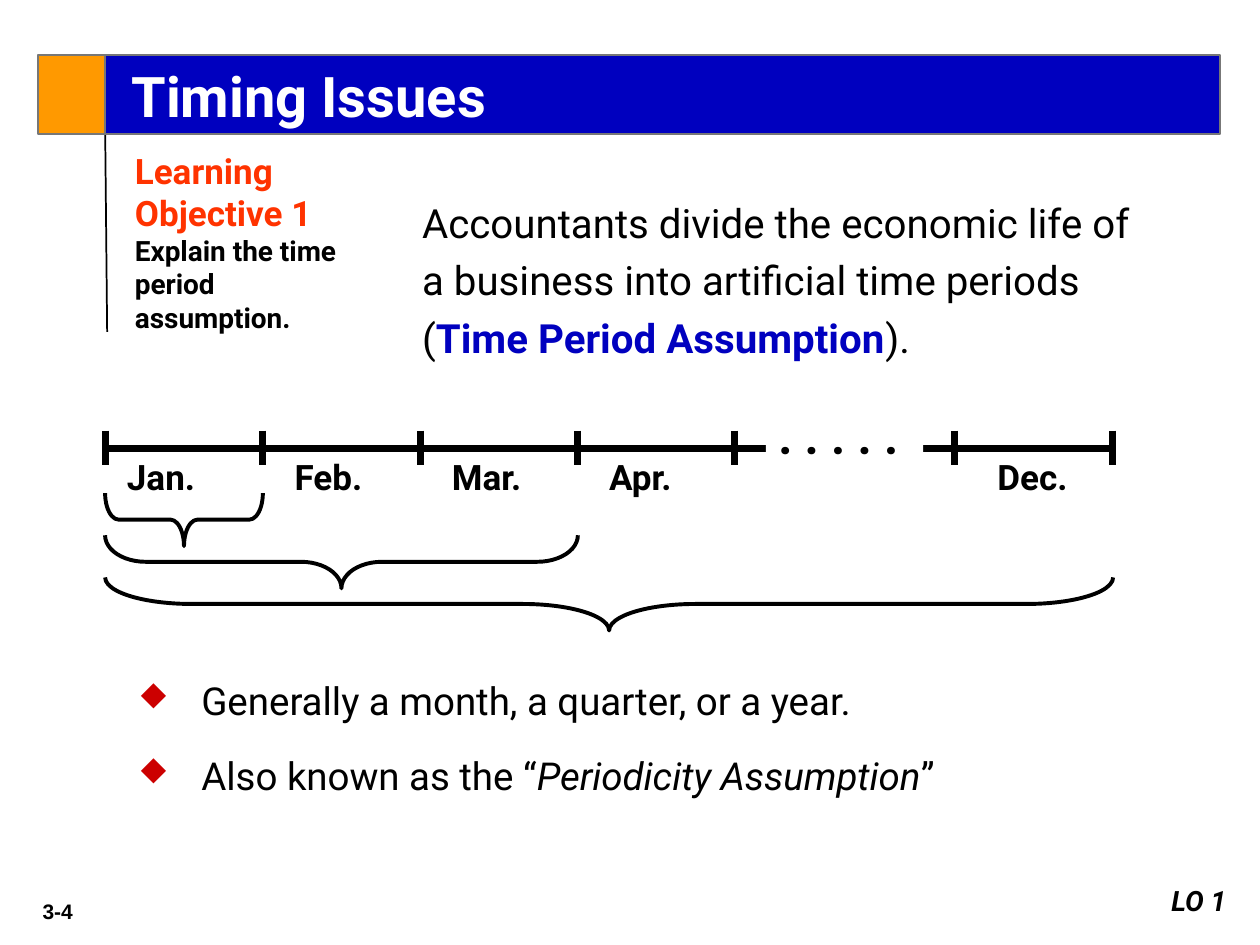
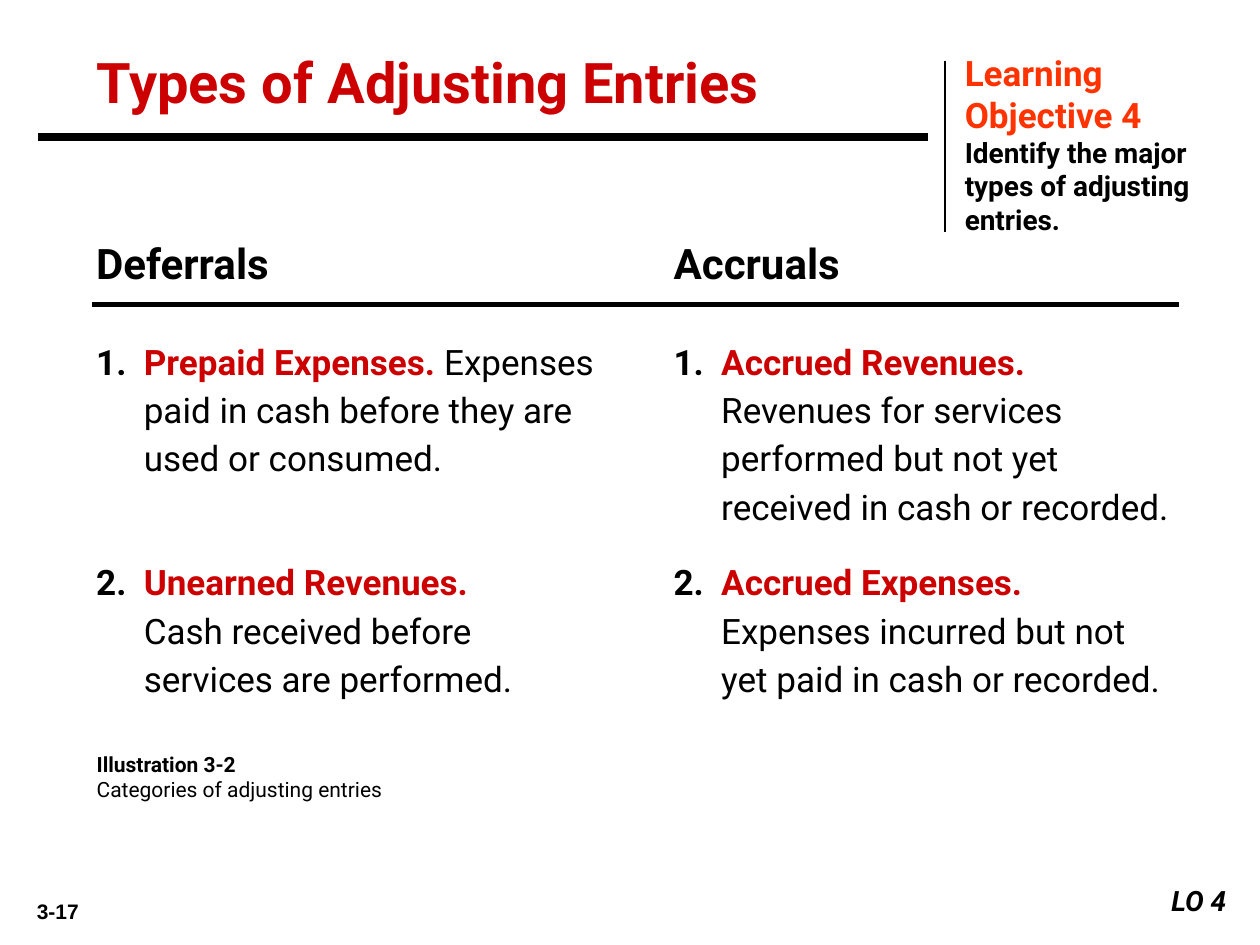
"""Build two accounting slides: timing issues and types of adjusting entries."""
from lxml.etree import SubElement
from pptx import Presentation
from pptx.dml.color import RGBColor
from pptx.enum.shapes import MSO_CONNECTOR, MSO_SHAPE
from pptx.enum.text import MSO_ANCHOR as Anchor, PP_ALIGN as Align
from pptx.oxml.ns import qn
from pptx.util import Cm, Pt

COLORS = {"black": "000000", "white": "FFFFFF", "blue": "0000BF", "red": "CC0000",
          "orange": "FF9900", "vermilion": "FF3300", "edge": "777777"}
FONT, NUMBER_FONT = "Roboto", "Arial"
DIAMOND_FONT, DIAMOND = "Wingdings", "u"

TIMING = {
    "title": "Timing Issues", "number": "3-4", "objective": 1,
    "goal": "Explain the time period assumption.",
    "statement": [("Accountants divide the economic life of a business into artificial time periods (", "black", ""),
                  ("Time Period Assumption", "blue", "b"), (").", "black", "")],
    "bullets": [[("Generally a month, a quarter, or a year.", "")],
                [("Also known as the “", ""), ("Periodicity Assumption", "i"), ("”", "")]],
}
MONTHS = [("Jan.", 0, 0.18), ("Feb.", 1, 0.39), ("Mar.", 2, 0.39), ("Apr.", 3, 0.39), ("Dec.", 5.4, 0.61)]
TICKS = [0, 1, 2, 3, 4, 5.4, 6.4]
TIMELINE_LEFT, MONTH_WIDTH = 2.13, 3.17
BRACE_WIDTHS = [3.18, 9.53, 20.32]
BRACE_LEFT, BRACE_TOP, BRACE_HEIGHT, BRACE_STEP = 2.12, 9.94, 1.07, 0.85

ENTRIES = {
    "title": "Types of Adjusting Entries", "number": "3-17", "objective": 4,
    "goal": "Identify the major types of adjusting entries.",
    "caption": ("Illustration 3-2", "Categories of adjusting entries"),
}
COLUMNS = [
    ("Deferrals", [
        ("Prepaid Expenses.", " ", "Expenses paid in cash before they are used or consumed."),
        ("Unearned Revenues.", "\n", "Cash received before services are performed.")]),
    ("Accruals", [
        ("Accrued Revenues.", " ", "Revenues for services performed but not yet received in cash or recorded."),
        ("Accrued Expenses.", " ", "Expenses incurred but not yet paid in cash or recorded.")]),
]
COLUMN_LEFT, COLUMN_STEP, COLUMN_WIDTH = 1.69, 11.64, 10.59
ENTRY_TOP, ENTRY_HEIGHT = 6.35, 4.45


def color(name):
    return RGBColor.from_string(COLORS[name])


def lengths(place):
    return [Cm(value) for value in place]


def add_span(para, text, size, tone="black", style="", font=FONT):
    span = para.add_run()
    span.text = text
    span.font.name, span.font.size = font, Pt(size)
    span.font.bold, span.font.italic = "b" in style, "i" in style
    span.font.color.rgb = color(tone)


def add_box(page, place, anchor=Anchor.TOP, wrap=True):
    box = page.shapes.add_textbox(*lengths(place))
    box.text_frame.word_wrap = wrap
    box.text_frame.vertical_anchor = anchor
    return box


def first_para(box, align=Align.LEFT, spacing=None):
    para = box.text_frame.paragraphs[0]
    para.alignment, para.line_spacing = align, spacing
    return para


def add_label(page, place, text, size, tone="black", style="b", font=FONT,
              align=Align.LEFT, anchor=Anchor.TOP, wrap=True):
    box = add_box(page, place, anchor, wrap)
    add_span(first_para(box, align), text, size, tone, style, font)


def add_line(page, ends, width):
    line = page.shapes.add_connector(MSO_CONNECTOR.STRAIGHT, *lengths(ends))
    line.line.color.rgb, line.line.width = color("black"), Pt(width)
    SubElement(line._element.spPr, qn("a:effectLst"))


def add_block(page, place, fill, edge=None, anchor=Anchor.MIDDLE):
    block = page.shapes.add_shape(MSO_SHAPE.RECTANGLE, *lengths(place))
    block.shadow.inherit = False
    block.fill.solid()
    block.fill.fore_color.rgb = color(fill)
    if edge:
        block.line.color.rgb, block.line.width = color(edge), Pt(1)
    else:
        block.line.fill.background()
    block.text_frame.vertical_anchor = anchor
    return block


def add_panel(page, place):
    return add_block(page, place, "white", anchor=Anchor.TOP)


def add_brace(page, width, top):
    left = BRACE_LEFT + (width - BRACE_HEIGHT) / 2
    upright_top = top + (BRACE_HEIGHT - width) / 2
    brace = page.shapes.add_shape(MSO_SHAPE.LEFT_BRACE, *lengths((left, upright_top, BRACE_HEIGHT, width)))
    brace.rotation = 270
    brace.adjustments[0] = width * 0.08
    brace.shadow.inherit = False
    brace.fill.background()
    brace.line.color.rgb, brace.line.width = color("black"), Pt(2.25)


def hang(para, indent):
    properties = para._p.get_or_add_pPr()
    properties.set("marL", str(Cm(indent)))
    properties.set("indent", str(-Cm(indent)))
    return properties


def add_diamond(para):
    properties = hang(para, 1.27)
    tint = SubElement(properties, qn("a:buClr"))
    SubElement(tint, qn("a:srgbClr")).set("val", COLORS["red"])
    SubElement(properties, qn("a:buSzPct")).set("val", "80000")
    face = SubElement(properties, qn("a:buFont"))
    face.set("typeface", DIAMOND_FONT)
    face.set("charset", "2")
    SubElement(properties, qn("a:buChar")).set("char", DIAMOND)


def add_page(deck, content):
    page = deck.slides.add_slide(deck.slide_layouts[6])
    add_label(page, (0.21, 17.98, 1.91, 0.76), content["number"], 12, font=NUMBER_FONT, align=Align.CENTER)
    return page


def add_objective(page, content, box):
    para = first_para(box)
    add_span(para, f"Learning Objective {content['objective']} ", 20, "vermilion", "b")
    add_span(para, content["goal"], 16, style="b")
    footer = add_panel(page, (22.86, 17.69, 2.11, 0.94))
    add_span(first_para(footer, Align.RIGHT), f"LO {content['objective']}", 16, style="bi")


def add_timeline(page):
    add_line(page, (2.2, 9.04, 22.43, 9.04), 4)
    for tick in TICKS:
        x = TIMELINE_LEFT + tick * MONTH_WIDTH
        add_line(page, (x, 8.68, x, 9.38), 4)
    for month, tick, offset in MONTHS:
        x = TIMELINE_LEFT + tick * MONTH_WIDTH + offset
        add_label(page, (x, 9.06, 2.4, 1.09), month, 20)
    gap = add_block(page, (15.44, 8.68, 3.17, 0.85), "white")
    gap.text_frame.word_wrap = False
    add_span(first_para(gap, spacing=0.15), ". . . . .", 28, style="b")
    for row, width in enumerate(BRACE_WIDTHS):
        add_brace(page, width, BRACE_TOP + row * BRACE_STEP)


def add_timing(deck):
    page = add_page(deck, TIMING)
    add_line(page, (2.12, 2.62, 2.16, 6.69), 1)
    statement = first_para(add_box(page, (8.26, 3.67, 15.04, 3.78)), spacing=1.2)
    for text, tone, style in TIMING["statement"]:
        add_span(statement, text, 23, tone, style)
    add_timeline(page)
    band = add_block(page, (2.12, 1.11, 22.48, 1.6), "blue", "edge")
    band.text_frame.margin_left = Cm(0.53)
    add_span(first_para(band), TIMING["title"], 32, "white", "b")
    add_block(page, (0.77, 1.11, 1.35, 1.6), "orange", "edge")
    add_objective(page, TIMING, add_box(page, (2.47, 2.88, 5.15, 4.01)))
    frame = add_box(page, (2.54, 13.34, 21.59, 2.97)).text_frame
    for index, spans in enumerate(TIMING["bullets"]):
        para = frame.add_paragraph() if index else frame.paragraphs[0]
        para.line_spacing = 1.2
        if index:
            para.space_before = Pt(11)
        add_diamond(para)
        for text, style in spans:
            add_span(para, text, 22, style=style)


def add_entry(page, place, number, entry):
    term, joint, meaning = entry
    box = add_box(page, place)
    box.text_frame.margin_top = Cm(0.38)
    para = first_para(box, spacing=1.15)
    hang(para, 0.96)
    add_span(para, f"{number}.\t", 20, style="b")
    if joint == "\n":
        add_span(para, term, 20, "red", "b")
        para.add_line_break()
    else:
        add_span(para, term + joint, 20, "red", "b")
    add_span(para, meaning, 20)


def add_entries(deck):
    page = add_page(deck, ENTRIES)
    caption = add_panel(page, (1.7, 15.03, 6.99, 1.27))
    name, detail = ENTRIES["caption"]
    add_span(first_para(caption), name, 12, style="b")
    detail_para = caption.text_frame.add_paragraph()
    detail_para.alignment = Align.LEFT
    add_span(detail_para, detail, 12)
    for column, (heading, entries) in enumerate(COLUMNS):
        left = COLUMN_LEFT + column * COLUMN_STEP
        add_label(page, (left, 4.66, 8.05, 1.27), heading, 24, anchor=Anchor.MIDDLE, wrap=False)
        for row, entry in enumerate(entries):
            place = (left, ENTRY_TOP + row * ENTRY_HEIGHT, COLUMN_WIDTH, ENTRY_HEIGHT)
            add_entry(page, place, row + 1, entry)
    add_line(page, (1.86, 6.14, 23.76, 6.14), 3)
    add_label(page, (1.7, 0.86, 22.86, 1.55), ENTRIES["title"], 32, "red", anchor=Anchor.MIDDLE)
    add_line(page, (0.77, 2.76, 18.7, 2.76), 4.5)
    add_line(page, (19.05, 1.22, 19.05, 4.67), 1)
    add_objective(page, ENTRIES, add_panel(page, (19.2, 0.91, 5.56, 4.01)))


def main():
    deck = Presentation()
    deck.slide_width, deck.slide_height = Cm(25.4), Cm(19.05)
    add_timing(deck)
    add_entries(deck)
    deck.save("out.pptx")


if __name__ == "__main__":
    main()
